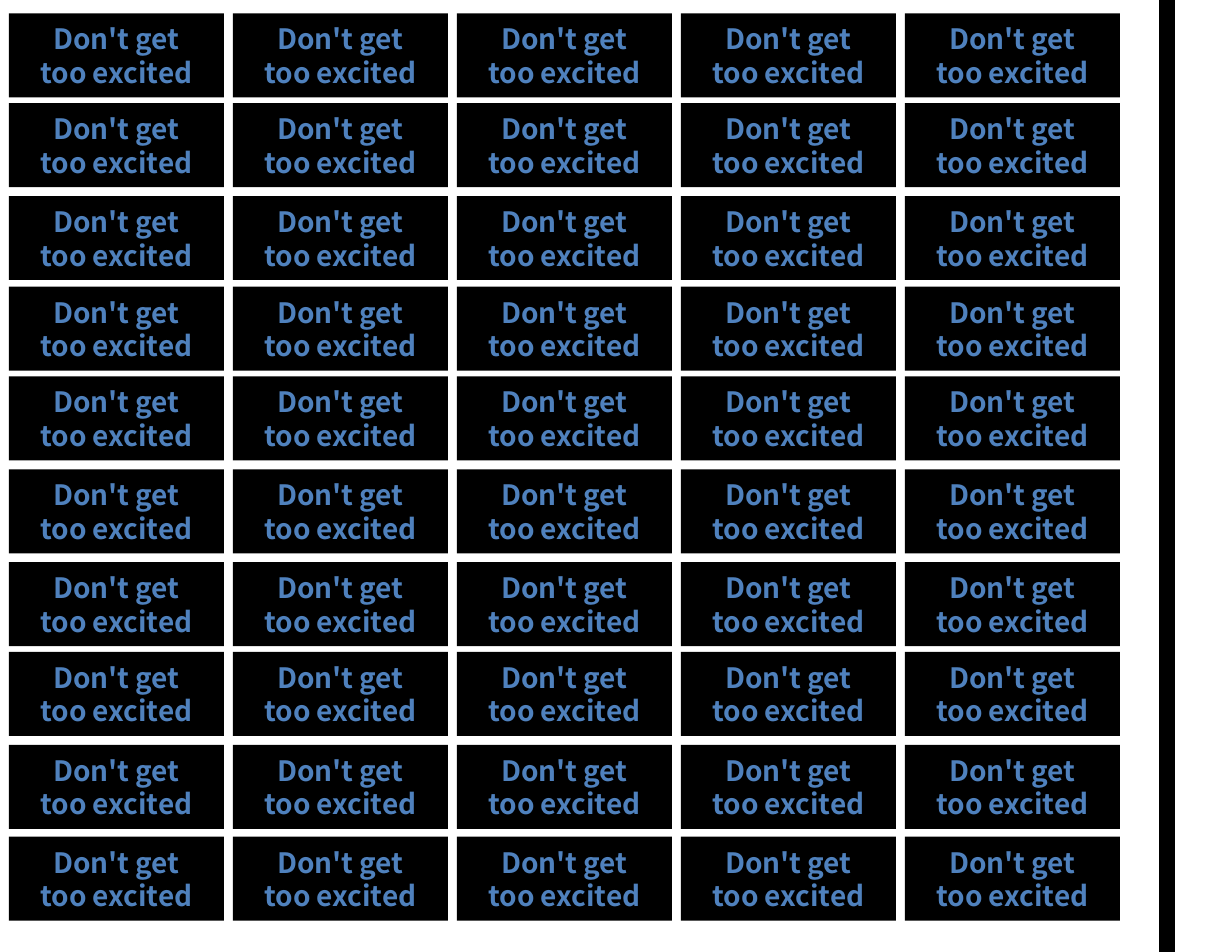
from dataclasses import dataclass

from lxml import etree
from pptx import Presentation
from pptx.dml.color import RGBColor
from pptx.enum.shapes import MSO_CONNECTOR, MSO_SHAPE
from pptx.enum.text import MSO_ANCHOR, PP_ALIGN
from pptx.oxml.ns import qn
from pptx.util import Inches, Pt

RECTANGLE = MSO_SHAPE.RECTANGLE
STRAIGHT = MSO_CONNECTOR.STRAIGHT
MIDDLE = MSO_ANCHOR.MIDDLE
CENTER = PP_ALIGN.CENTER

SLIDE_W, SLIDE_H = 11, 8.5
LABEL_W, LABEL_H = 1.92, 0.75
LEFT, COLUMN_STEP, COLUMNS = 0.08, 2, 5
ROW_TOPS = (0.12, 0.92, 1.75, 2.56, 3.36, 4.19, 5.02, 5.82, 6.65, 7.47)
LABEL_LINES = ("Don't get", "too excited")
DIVIDER_X = 10.42


@dataclass(frozen=True)
class Theme:
    font: str = "Noto Sans CJK JP"
    label_size: Pt = Pt(18)
    divider_width: Pt = Pt(9.75)
    ink: RGBColor = RGBColor(0x00, 0x00, 0x00)
    accent: RGBColor = RGBColor(0x4F, 0x81, 0xBD)


class LabelSheet:
    def __init__(self, slide, theme):
        self.slide = slide
        self.theme = theme

    def label(self, x, y, lines):
        sp = self.slide.shapes.add_shape(
            RECTANGLE, Inches(x), Inches(y), Inches(LABEL_W), Inches(LABEL_H)
        )
        sp.shadow.inherit = False
        sp.fill.solid()
        sp.fill.fore_color.rgb = self.theme.ink
        sp.line.fill.background()
        tf = sp.text_frame
        tf.word_wrap = True
        tf.vertical_anchor = MIDDLE
        tf.text = "\n".join(lines)
        for p in tf.paragraphs:
            p.alignment = CENTER
            p.font.name = self.theme.font
            p.font.size = self.theme.label_size
            p.font.bold = True
            p.font.color.rgb = self.theme.accent

    def divider(self, x):
        line = self.slide.shapes.add_connector(
            STRAIGHT, Inches(x), Inches(0), Inches(x), Inches(SLIDE_H)
        )
        line.line.color.rgb = self.theme.ink
        line.line.width = self.theme.divider_width
        etree.SubElement(line._element.spPr, qn("a:effectLst"))


def main():
    prs = Presentation()
    prs.slide_width = Inches(SLIDE_W)
    prs.slide_height = Inches(SLIDE_H)
    sheet = LabelSheet(prs.slides.add_slide(prs.slide_layouts[6]), Theme())
    for column in range(COLUMNS):
        for top in ROW_TOPS:
            sheet.label(LEFT + column * COLUMN_STEP, top, LABEL_LINES)
    sheet.divider(DIVIDER_X)
    prs.save("out.pptx")


if __name__ == "__main__":
    main()
